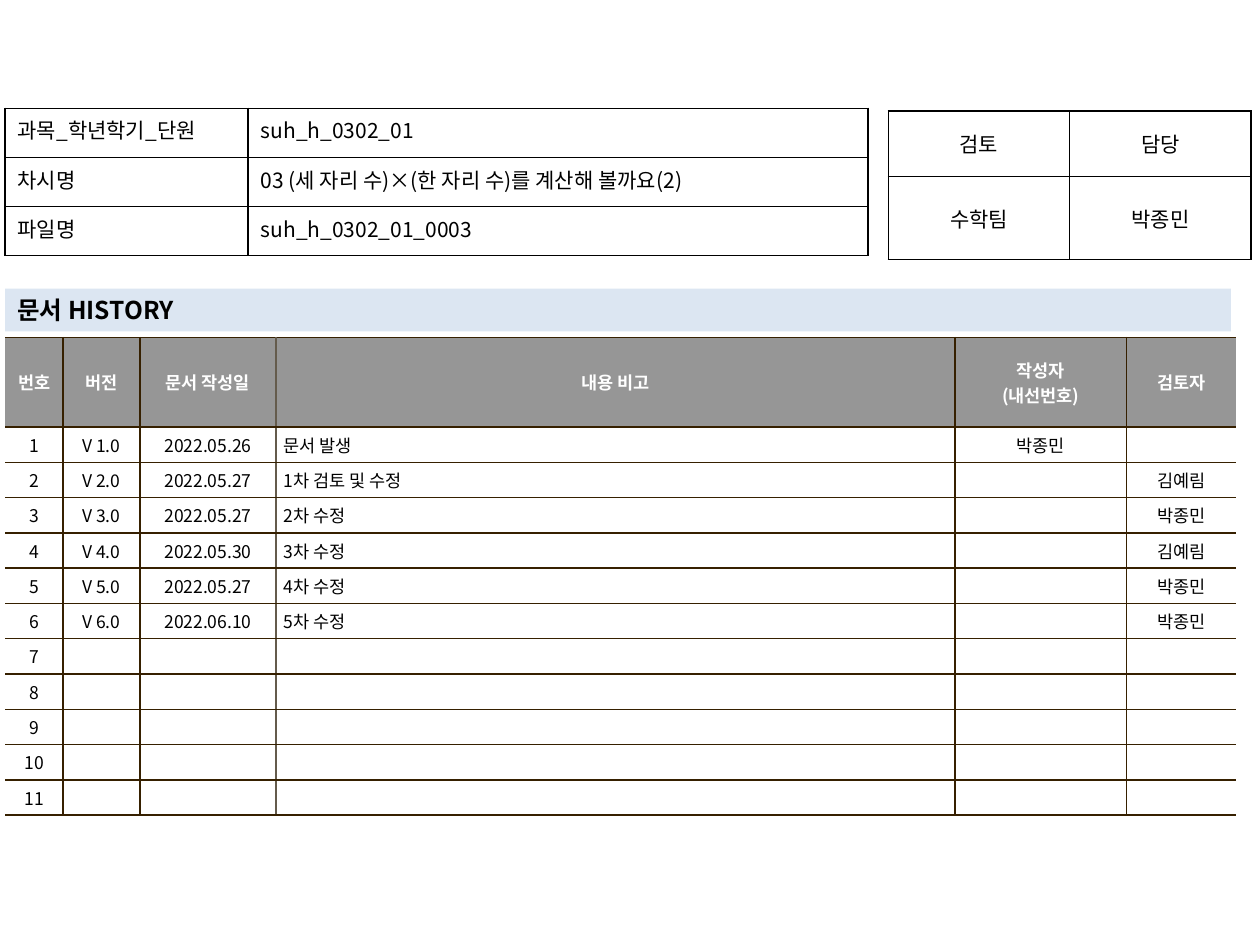
from lxml.etree import SubElement
from pptx import Presentation
from pptx.dml.color import RGBColor
from pptx.enum.shapes import MSO_SHAPE
from pptx.enum.text import MSO_ANCHOR, PP_ALIGN
from pptx.oxml.ns import qn
from pptx.util import Inches, Pt

RECT = MSO_SHAPE.RECTANGLE
TOP, MIDDLE = MSO_ANCHOR.TOP, MSO_ANCHOR.MIDDLE
LEFT, CENTER, JUSTIFY = PP_ALIGN.LEFT, PP_ALIGN.CENTER, PP_ALIGN.JUSTIFY
FONT = "Noto Sans CJK KR"
BLACK, WHITE, GRAY, BLUE = "000000", "FFFFFF", "969696", "DCE6F2"
BROWN, TAUPE = "362000", "645B4C"

TITLE = "문서 HISTORY"
HEAD = ["번호", "버전", "문서 작성일", "내용 비고", "작성자\n(내선번호)", "검토자"]
LOG = [
    ("V 1.0", "2022.05.26", "문서 발생", "박종민", ""),
    ("V 2.0", "2022.05.27", "1차 검토 및 수정", "", "김예림"),
    ("V 3.0", "2022.05.27", "2차 수정", "", "박종민"),
    ("V 4.0", "2022.05.30", "3차 수정", "", "김예림"),
    ("V 5.0", "2022.05.27", "4차 수정", "", "박종민"),
    ("V 6.0", "2022.06.10", "5차 수정", "", "박종민"),
]
COUNT = 11
INFO = [
    ("과목_학년학기_단원", "suh_h_0302_01"),
    ("차시명", "03 (세 자리 수)×(한 자리 수)를 계산해 볼까요(2)"),
    ("파일명", "suh_h_0302_01_0003"),
]
REVIEW = [("검토", "담당"), ("수학팀", "박종민")]


def color(code):
    return RGBColor.from_string(code)


def write(frame, text, size, tint=BLACK, bold=False, align=LEFT):
    frame.text = text
    for para in frame.paragraphs:
        para.alignment = align
        font = para.font
        font.size, font.bold, font.name = Pt(size), bold, FONT
        font.color.rgb = color(tint)
        props = para._p.pPr.find(qn("a:defRPr"))
        SubElement(props, qn("a:ea"), typeface=FONT)
        if not para.text:
            para._p.get_or_add_endParaRPr().set("sz", str(size * 100))


def edge(cell, side, tint):
    line = SubElement(cell._tc.get_or_add_tcPr(), qn("a:ln" + side), w=str(Pt(1)))
    if tint:
        fill = SubElement(line, qn("a:solidFill"))
        SubElement(fill, qn("a:srgbClr"), val=tint)
    else:
        SubElement(line, qn("a:noFill"))


def grid(slide, data, left, top, cols, rows, size, aligns, anchor, line,
         pad=(0.1, 0.05), head=None, body=None, rules=None):
    frame = slide.shapes.add_table(len(rows), len(cols), Inches(left), Inches(top),
                                   Inches(sum(cols)), Inches(sum(rows)))
    table = frame.table
    table.first_row = table.horz_banding = False
    for col, width in zip(table.columns, cols):
        col.width = Inches(width)
    rules = rules or [line] * (len(cols) + 1)
    for r, (row, height) in enumerate(zip(data, rows)):
        table.rows[r].height = Inches(height)
        first = bool(head) and r == 0
        for c, text in enumerate(row):
            cell = table.cell(r, c)
            cell.margin_left = cell.margin_right = Inches(pad[0])
            cell.margin_top = cell.margin_bottom = Inches(pad[1])
            cell.vertical_anchor = anchor
            write(cell.text_frame, text, size, WHITE if first else BLACK,
                  first, CENTER if first else aligns[c])
            for side, tint in zip("LRTB", (rules[c], rules[c + 1], line, line)):
                edge(cell, side, tint)
            fill = head if first else body
            if fill:
                cell.fill.solid()
                cell.fill.fore_color.rgb = color(fill)
            else:
                cell.fill.background()


def main():
    deck = Presentation()
    deck.slide_width, deck.slide_height = Inches(10), Inches(7.5)
    slide = deck.slides.add_slide(deck.slide_layouts[6])

    blank = ("",) * (len(HEAD) - 1)
    full = LOG + [blank] * (COUNT - len(LOG))
    data = [HEAD] + [(str(n), *row) for n, row in enumerate(full, 1)]
    grid(slide, data, 0.04, 2.68, [0.46, 0.61, 1.08, 5.39, 1.36, 0.87],
         [0.71] + [0.25] * COUNT, 10,
         [CENTER, CENTER, CENTER, LEFT, CENTER, CENTER], MIDDLE, BROWN,
         (0.06, 0.04), GRAY, WHITE,
         [None, BROWN, BROWN, TAUPE, BROWN, BROWN, None])
    grid(slide, REVIEW, 7.05, 0.88, [1.44, 1.44], [0.52, 0.66], 12,
         [CENTER, CENTER], MIDDLE, BLACK)

    bar = slide.shapes.add_shape(RECT, Inches(0.04), Inches(2.29),
                                 Inches(9.73), Inches(0.34))
    bar.shadow.inherit = False
    bar.fill.solid()
    bar.fill.fore_color.rgb = color(BLUE)
    bar.line.fill.background()
    bar.text_frame.vertical_anchor = MIDDLE
    write(bar.text_frame, TITLE, 14, bold=True)

    grid(slide, INFO, 0.04, 0.86, [1.93, 4.92], [0.39] * 3, 12,
         [JUSTIFY, LEFT], TOP, BLACK)
    deck.save("out.pptx")


if __name__ == "__main__":
    main()
